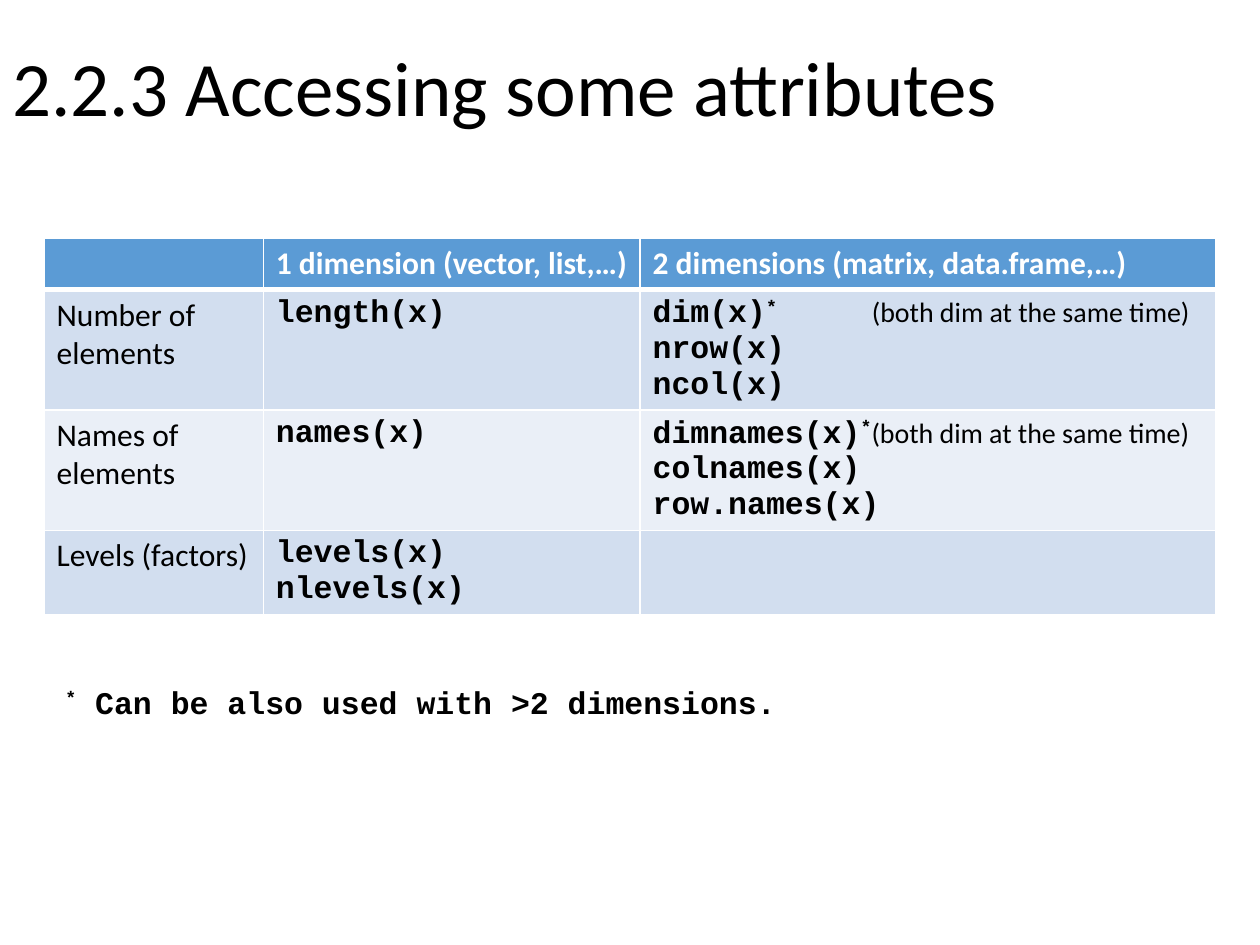
import pptx
import pptx.dml.color
import pptx.enum.text
import pptx.oxml
import pptx.oxml.ns
import pptx.util
from lxml import etree

Inches = pptx.util.Inches
Pt = pptx.util.Pt

COLORS = {"header": "5B9BD5", "band": "D2DEEF", "light": "EAEFF7",
          "white": "FFFFFF", "text": "000000"}

STYLES = {
    "title": ("Calibri", 44, False, "text"),
    "header": ("Calibri", 18, True, "white"),
    "label": ("Calibri", 18, False, "text"),
    "code": ("Courier New", 18, True, "text"),
    "star": ("Courier New", 18, True, "text"),
    "remark": ("Calibri", 16, False, "text"),
}

REMARK = ("(both dim at the same time)", "remark")
STAR = ("*", "star")

ROWS = [
    [[], [[("1 dimension (vector, list,…)", "header")]],
     [[("2 dimensions (matrix, data.frame,…)", "header")]]],
    [[[("Number of elements", "label")]],
     [[("length(x)", "code")]],
     [[("dim(x)", "code"), STAR, ("\t", "remark"), REMARK],
      [("nrow(x)", "code")], [("ncol(x)", "code")]]],
    [[[("Names of elements", "label")]],
     [[("names(x)", "code")]],
     [[("dimnames(x)", "code"), STAR, REMARK],
      [("colnames(x)", "code")], [("row.names(x)", "code")]]],
    [[[("Levels (factors)", "label")]],
     [[("levels(x)", "code")], [("nlevels(x)", "code")]], []],
]
ROW_FILLS = ["header", "band", "light", "band"]
ROW_HEIGHTS = [0.41, 0.95, 0.95, 0.67]
COLUMN_SHARES = [1.74, 2.99, 4.57]
REMARK_TAB = 1.74


def rgb(name):
    return pptx.dml.color.RGBColor.from_string(COLORS[name])


def add_tab_stop(paragraph, position):
    properties = paragraph._p.get_or_add_pPr()
    stops = etree.SubElement(properties, pptx.oxml.ns.qn("a:tabLst"))
    etree.SubElement(stops, pptx.oxml.ns.qn("a:tab"),
                     pos=str(Inches(position)), algn="l")


def add_runs(paragraph, pieces):
    for text, style in pieces:
        run = paragraph.add_run()
        run.text = text
        name, size, bold, color = STYLES[style]
        run.font.name = name
        run.font.size = Pt(size)
        run.font.bold = bold
        run.font.color.rgb = rgb(color)
        if style == "star":
            run.font._element.set("baseline", "30000")


def fill_text(frame, lines):
    for index, pieces in enumerate(lines):
        paragraph = frame.add_paragraph() if index else frame.paragraphs[0]
        if any(text == "\t" for text, _ in pieces):
            add_tab_stop(paragraph, REMARK_TAB)
        add_runs(paragraph, pieces)


def set_borders(cell, widths):
    properties = cell._tc.get_or_add_tcPr()
    for side, width in widths.items():
        properties.append(pptx.oxml.parse_xml(
            f'<a:ln{side} {pptx.oxml.ns.nsdecls("a")} w="{Pt(width)}"><a:solidFill>'
            f'<a:srgbClr val="{COLORS["white"]}"/></a:solidFill></a:ln{side}>'))


def add_title(slide, left, top, width, height):
    title = slide.shapes.title
    title.left, title.top = Inches(left), Inches(top)
    title.width, title.height = Inches(width), Inches(height)
    frame = title.text_frame
    frame.auto_size = pptx.enum.text.MSO_AUTO_SIZE.NONE
    frame.vertical_anchor = pptx.enum.text.MSO_ANCHOR.MIDDLE
    heading = frame.paragraphs[0]
    heading.alignment = pptx.enum.text.PP_ALIGN.LEFT
    heading.line_spacing = 0.9
    add_runs(heading, [("2.2.3 Accessing some attributes", "title")])


def add_attribute_table(slide, left, top, width, height):
    table = slide.shapes.add_table(
        len(ROWS), len(COLUMN_SHARES), Inches(left), Inches(top),
        Inches(width), Inches(height)).table
    table.horz_banding = False
    for column, share in zip(table.columns, COLUMN_SHARES):
        column.width = Inches(width * share / sum(COLUMN_SHARES))
    for r, lines_by_cell in enumerate(ROWS):
        table.rows[r].height = Inches(height * ROW_HEIGHTS[r] / sum(ROW_HEIGHTS))
        borders = {"L": 1, "R": 1, "T": 3 if r == 1 else 1, "B": 3 if r == 0 else 1}
        for c, lines in enumerate(lines_by_cell):
            cell = table.cell(r, c)
            set_borders(cell, borders)
            cell.fill.solid()
            cell.fill.fore_color.rgb = rgb(ROW_FILLS[r])
            fill_text(cell.text_frame, lines)


def add_footnote(slide, left, top, width, height):
    footnote = slide.shapes.add_textbox(
        Inches(left), Inches(top), Inches(width), Inches(height))
    footnote.text_frame.word_wrap = True
    footnote.text_frame.auto_size = pptx.enum.text.MSO_AUTO_SIZE.SHAPE_TO_FIT_TEXT
    fill_text(footnote.text_frame,
              [[STAR, (" Can be also used with >2 dimensions.", "code")]])


def main():
    deck = pptx.Presentation()
    deck.slide_width, deck.slide_height = Inches(10), Inches(7.5)
    slide = deck.slides.add_slide(deck.slide_layouts[5])
    add_title(slide, 0, 0, 10, 1.45)
    add_attribute_table(slide, 0.35, 1.89, 9.3, sum(ROW_HEIGHTS))
    add_footnote(slide, 0.42, 5.37, 5.88, 0.4)
    deck.save("out.pptx")


if __name__ == "__main__":
    main()
